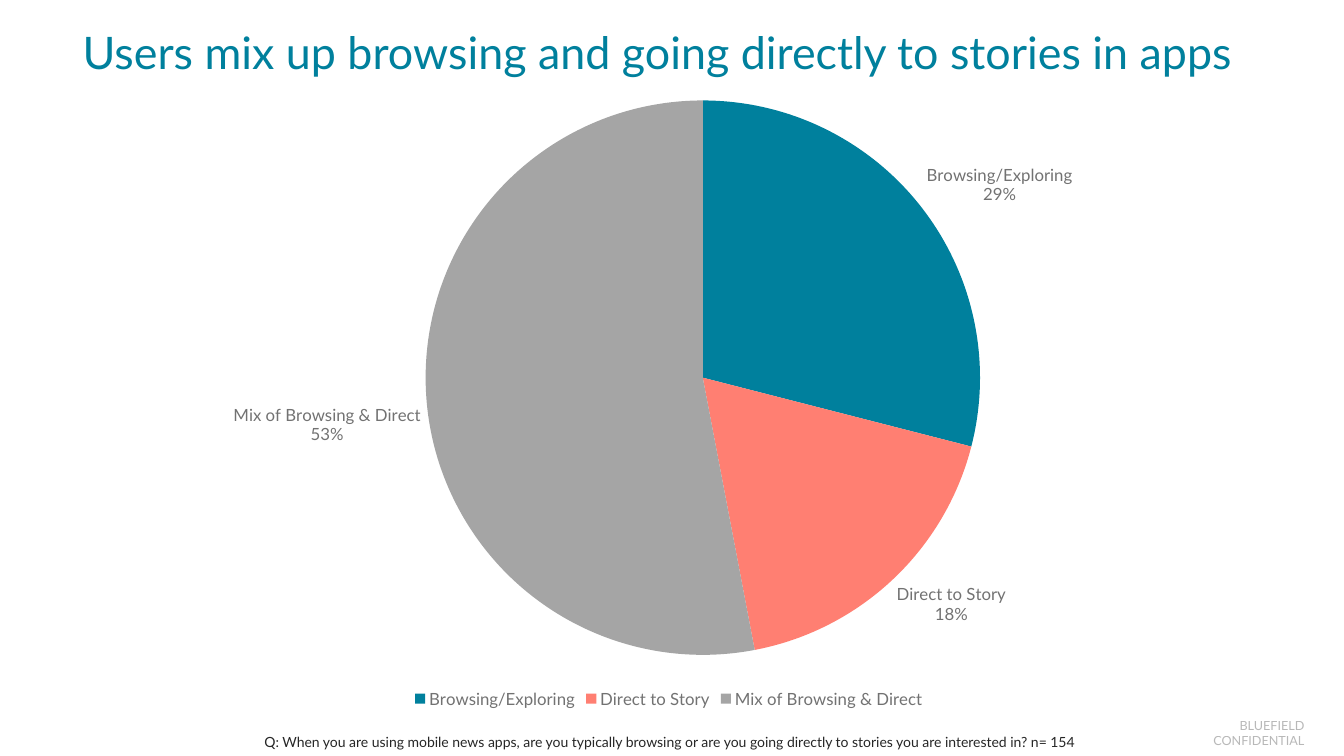
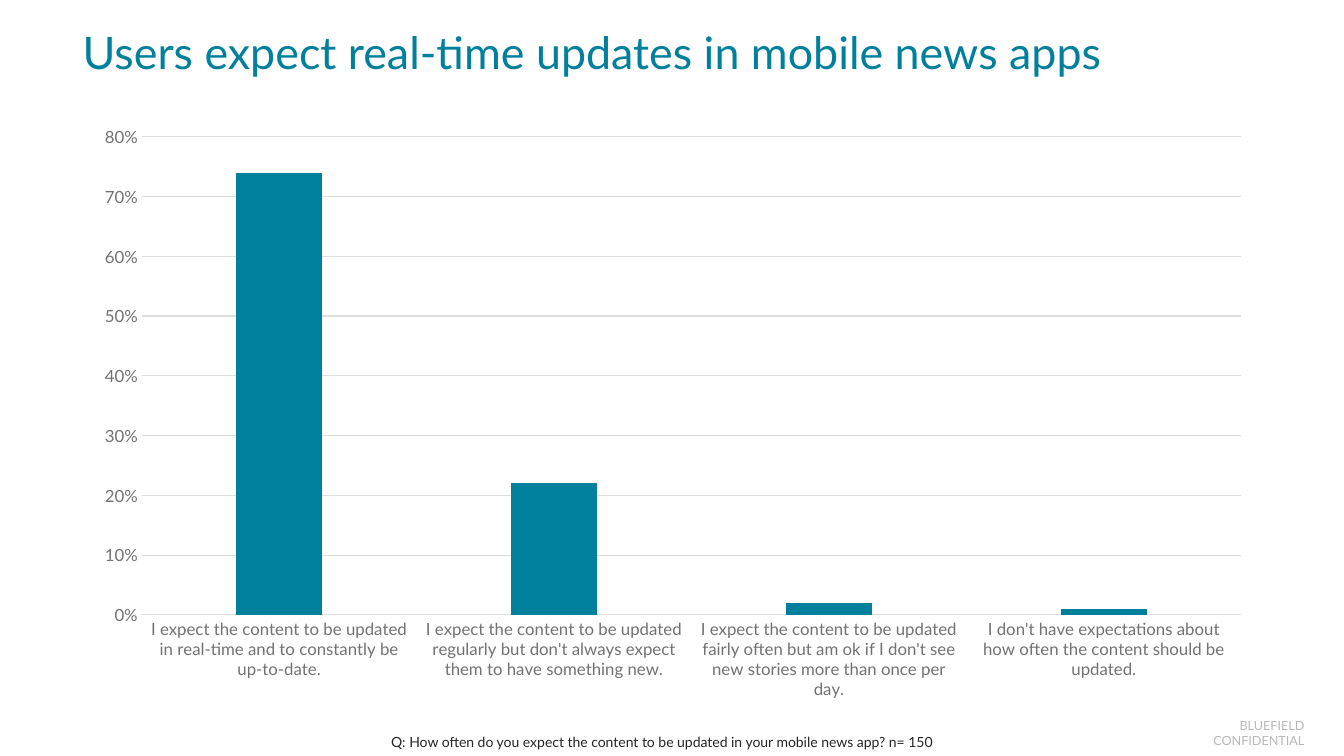
import dataclasses

import lxml.etree
import pptx
import pptx.chart.chart
import pptx.chart.data
import pptx.dml.color
import pptx.enum.chart
import pptx.enum.text
import pptx.oxml
import pptx.oxml.ns
import pptx.slide
import pptx.util

Pt = pptx.util.Pt
ALIGN = pptx.enum.text.PP_ALIGN
KIND = pptx.enum.chart.XL_CHART_TYPE
TICK = pptx.enum.chart.XL_TICK_MARK
FONT = "Lato"
HUES = {"teal": "00809D", "coral": "FF7F72", "silver": "A5A5A5",
        "gray": "727272", "ink": "262626", "rule": "DEDEDE"}


@dataclasses.dataclass
class Box:
    """A frame, in points."""
    left: float
    top: float
    width: float
    height: float

    def spots(self) -> list:
        """Return the frame as lengths."""
        return [Pt(n) for n in dataclasses.astuple(self)]


@dataclasses.dataclass
class Style:
    """How a line of text is set."""
    size: float
    hue: str
    align: ALIGN
    pad: tuple
    space: float = 1.0
    alpha: int = 100
    middle: bool = False


@dataclasses.dataclass
class Graph:
    """A chart: its frame, inner plot (shares of the frame) and data."""
    kind: KIND
    box: Box
    inner: tuple
    cats: list
    vals: list


TITLE = Style(32, "teal", ALIGN.LEFT, (0, 3.6), space=0.9, middle=True)
QUERY = Style(10, "ink", ALIGN.CENTER, (7.2, 3.6))
MARK = Style(9, "gray", ALIGN.RIGHT, (0, 0), alpha=50)


def shade(name: str) -> pptx.dml.color.RGBColor:
    """Look up a colour."""
    return pptx.dml.color.RGBColor.from_string(HUES[name])


def set_font(font, size: float, hue: str) -> None:
    """Set face, size and colour of a font."""
    font.name, font.size = FONT, Pt(size)
    font.color.rgb = shade(hue)


def fill(part, hue: str) -> None:
    """Fill a bar or slice, without an outline."""
    part.format.fill.solid()
    part.format.fill.fore_color.rgb = shade(hue)
    part.format.line.fill.background()


def rule(line) -> None:
    """Draw a thin pale line."""
    line.color.rgb = shade("rule")
    line.width = Pt(0.75)


def write(slide: pptx.slide.Slide, text: str, box: Box, style: Style) -> None:
    """Add a text box with one run."""
    frame = slide.shapes.add_textbox(*box.spots()).text_frame
    frame.word_wrap = True
    side, edge = style.pad
    frame.margin_left = frame.margin_right = Pt(side)
    frame.margin_top = frame.margin_bottom = Pt(edge)
    if style.middle:
        frame.vertical_anchor = pptx.enum.text.MSO_ANCHOR.MIDDLE
    para = frame.paragraphs[0]
    para.alignment, para.line_spacing = style.align, style.space
    run = para.add_run()
    run.text = text
    set_font(run.font, style.size, style.hue)
    if style.alpha < 100:
        tint = run._r.find(".//" + pptx.oxml.ns.qn("a:srgbClr"))
        lxml.etree.SubElement(tint, pptx.oxml.ns.qn("a:alpha"),
                              val=str(style.alpha * 1000))


def place(chart: pptx.chart.chart.Chart, inner: tuple) -> None:
    """Fix the inner plot within the chart frame."""
    qn = pptx.oxml.ns.qn
    area = chart._chartSpace.find(".//" + qn("c:plotArea"))
    for old in area.findall(qn("c:layout")):
        area.remove(old)
    layout = pptx.oxml.parse_xml(
        f"<c:layout {pptx.oxml.ns.nsdecls('c')}><c:manualLayout/></c:layout>")
    rows = [("layoutTarget", "inner"), ("xMode", "edge"), ("yMode", "edge")]
    rows += zip("xywh", inner)
    for tag, val in rows:
        lxml.etree.SubElement(layout[0], qn("c:" + tag), val=str(val))
    area.insert(0, layout)


def add_graph(slide: pptx.slide.Slide, graph: Graph) -> pptx.chart.chart.Chart:
    """Add a chart with the shared font and layout."""
    data = pptx.chart.data.CategoryChartData()
    data.categories = graph.cats
    data.add_series("Series 1", graph.vals)
    chart = slide.shapes.add_chart(graph.kind, *graph.box.spots(), data).chart
    set_font(chart.font, 10, "ink")
    chart.has_title = chart.has_legend = False
    place(chart, graph.inner)
    return chart


def dress_pie(chart: pptx.chart.chart.Chart) -> None:
    """Colour the slices, and add labels and a legend."""
    plot = chart.plots[0]
    for i, hue in enumerate(("teal", "coral", "silver")):
        fill(plot.series[0].points[i], hue)
    plot.has_data_labels = True
    tags = plot.data_labels
    tags.show_percentage = tags.show_category_name = True
    tags.show_value = False
    tags.number_format, tags.number_format_is_linked = "0%", False
    tags.position = pptx.enum.chart.XL_LABEL_POSITION.OUTSIDE_END
    set_font(tags.font, 12, "gray")
    chart.has_legend = True
    chart.legend.position = pptx.enum.chart.XL_LEGEND_POSITION.BOTTOM
    chart.legend.include_in_layout = False
    set_font(chart.legend.font, 12, "gray")


def dress_bars(chart: pptx.chart.chart.Chart) -> None:
    """Style the columns, axes and grid."""
    plot = chart.plots[0]
    plot.gap_width, plot.overlap = 219, -27
    plot.vary_by_categories = False
    fill(plot.series[0], "teal")
    base, scale = chart.category_axis, chart.value_axis
    for axis in (base, scale):
        axis.major_tick_mark = axis.minor_tick_mark = TICK.NONE
        set_font(axis.tick_labels.font, 12, "gray")
    rule(base.format.line)
    scale.format.line.fill.background()
    rule(scale.major_gridlines.format.line)
    scale.minimum_scale, scale.maximum_scale = 0, 0.8
    scale.major_unit = 0.1
    scale.tick_labels.number_format = "0%"
    scale.tick_labels.number_format_is_linked = False


PIE = Graph(KIND.PIE, Box(130.3, 61.9, 694.8, 447.1), (0.25, 0.02, 0.57, 0.89),
            ["Browsing/Exploring", "Direct to Story",
             "Mix of Browsing & Direct"], [29, 18, 53])
BARS = Graph(KIND.COLUMN_CLUSTERED, Box(59, 80.6, 844.6, 427),
             (0.05, 0.04, 0.93, 0.8),
             ["I expect the content to be updated in real-time and to "
              "constantly be up-to-date.",
              "I expect the content to be updated regularly but don't always "
              "expect them to have something new.",
              "I expect the content to be updated fairly often but am ok if I "
              "don't see new stories more than once per day.",
              "I don't have expectations about how often the content should "
              "be updated."], [0.74, 0.22, 0.02, 0.01])
PAGES = [
    ("Users mix up browsing and going directly to stories in apps",
     "Q: When you are using mobile news apps, are you typically browsing or "
     "are you going directly to stories you are interested in? n= 154",
     Box(95.8, 520.6, 764.6, 19.4), PIE, dress_pie),
    ("Users expect real-time updates in mobile news apps",
     "Q: How often do you expect the content to be updated in your mobile "
     "news app? n= 150",
     Box(137.5, 520.6, 670.3, 19.4), BARS, dress_bars),
]


def main() -> None:
    """Build and save the deck."""
    deck = pptx.Presentation()
    deck.slide_width, deck.slide_height = Pt(960), Pt(540)
    for title, query, spot, graph, dress in PAGES:
        slide = deck.slides.add_slide(deck.slide_layouts[6])
        write(slide, "BLUEFIELD CONFIDENTIAL", Box(859.7, 512.6, 72, 22), MARK)
        write(slide, title, Box(59, 17.3, 842.4, 44.6), TITLE)
        dress(add_graph(slide, graph))
        write(slide, query, spot, QUERY)
    deck.save("out.pptx")


main()
